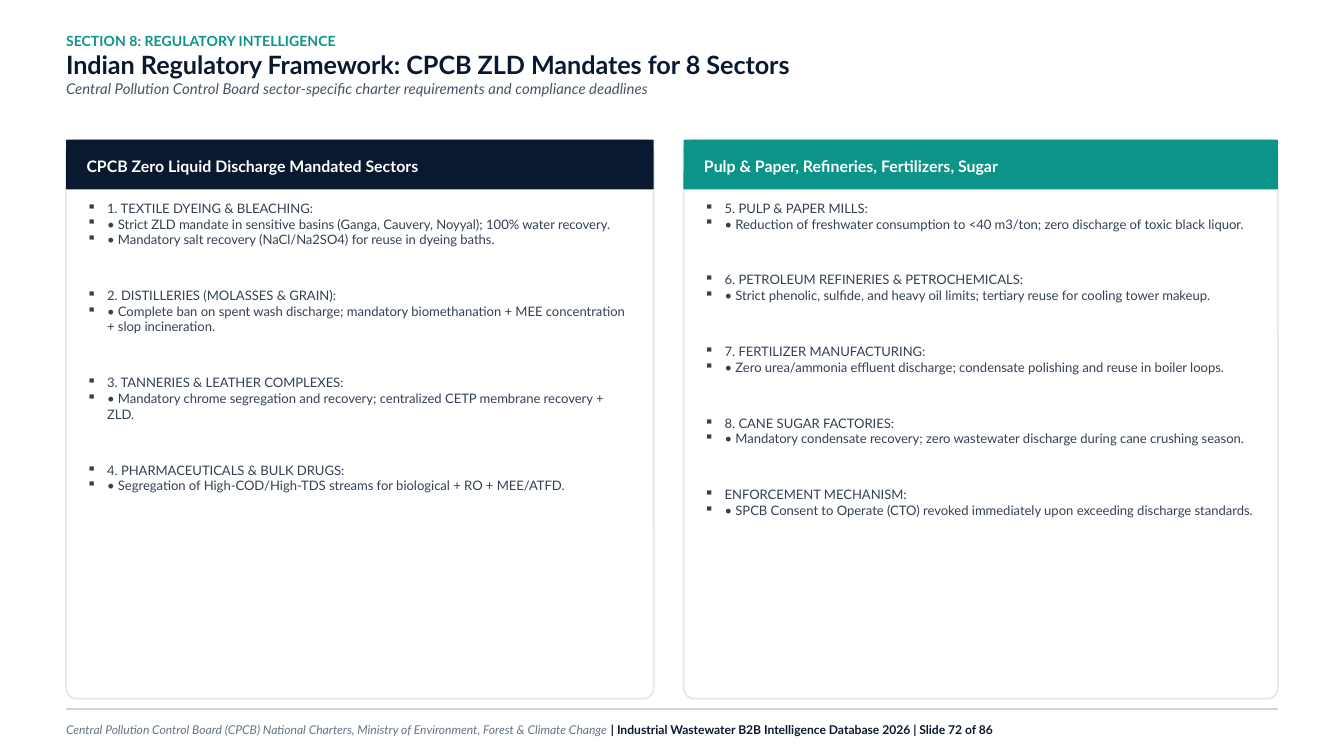
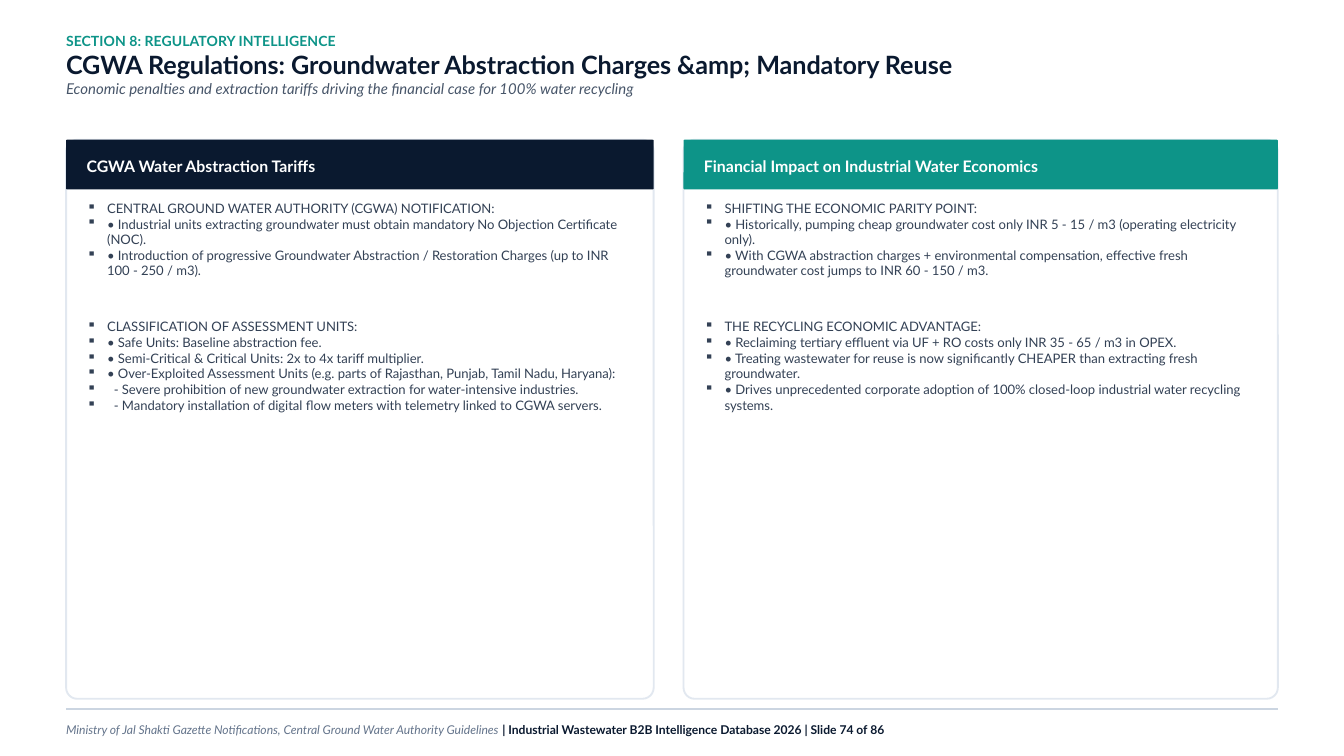
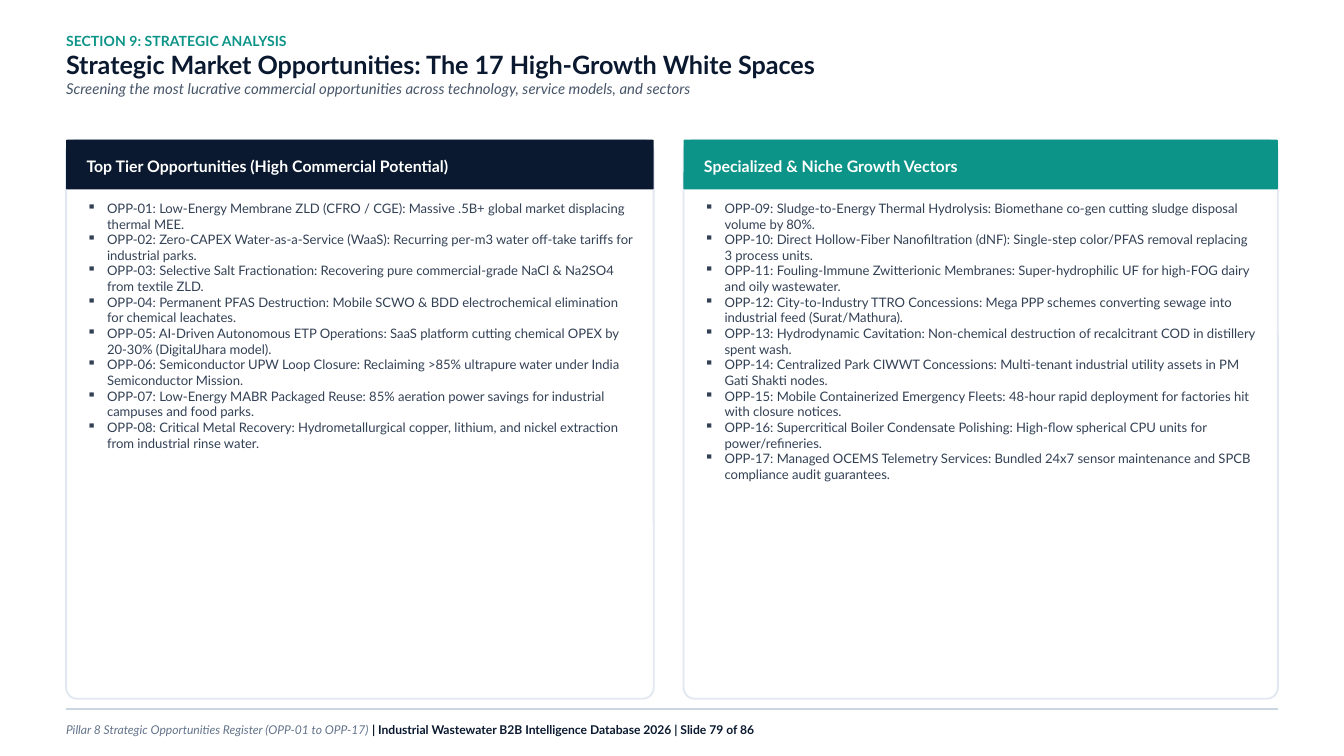
import pptx
import pptx.util
from dataclasses import dataclass
from lxml import etree
from pptx.dml.color import RGBColor
from pptx.enum.shapes import MSO_SHAPE
from pptx.enum.text import MSO_ANCHOR, PP_ALIGN
from pptx.oxml.ns import qn

Pt = pptx.util.Pt


@dataclass(frozen=True)
class Theme:
    face: str = "Lato"
    navy: str = "0A192F"
    teal: str = "0D9488"
    slate: str = "475569"
    ink: str = "334155"
    muted: str = "64748B"
    rule: str = "CBD5E1"
    edge: str = "E2E8F0"
    white: str = "FFFFFF"
    tag: float = 7.5
    title: float = 13.5
    lead: float = 8
    head: float = 8.5
    body: float = 7
    foot: float = 6.5


LEFT, WIDE = 35.4, 649.2
TOP, HIGH, BAND = 74.9, 299.5, 26.6
GAP, PAD = 16, 6.2
COLS = ((LEFT, 314.8), (LEFT + 314.8 + GAP, WIDE - 314.8 - GAP))
INDENT, NEST = 10.8, 3.6
BREAK = 21.6
BRAND = "Industrial Wastewater B2B Intelligence Database 2026"
TOTAL = 86


class Deck:
    def __init__(self, theme):
        self.theme = theme
        self.file = pptx.Presentation()
        self.file.slide_width, self.file.slide_height = Pt(720), Pt(405)
        self.slide = None

    def page(self):
        self.slide = self.file.slides.add_slide(self.file.slide_layouts[6])

    def words(self, para, text, size, color, **style):
        run = para.add_run()
        run.text = text
        values = {"name": self.theme.face, "size": Pt(size), **style}
        for key, value in values.items():
            setattr(run.font, key, value)
        run.font.color.rgb = RGBColor.from_string(color)

    def frame(self, shape, insets=(0, 0, 0, 0), anchor=MSO_ANCHOR.TOP):
        """Set up the text frame; insets run left, top, right, bottom."""
        frame = shape.text_frame
        sides = ("left", "top", "right", "bottom")
        values = {f"margin_{side}": Pt(gap) for side, gap in zip(sides, insets)}
        values.update(word_wrap=True, vertical_anchor=anchor)
        for key, value in values.items():
            setattr(frame, key, value)
        return frame

    def text(self, box, **style):
        return self.frame(self.slide.shapes.add_textbox(*map(Pt, box)), **style)

    def block(self, kind, box, fill, edge=None):
        shape = self.slide.shapes.add_shape(kind, *map(Pt, box))
        shape.shadow.inherit = False
        shape.fill.solid()
        shape.fill.fore_color.rgb = RGBColor.from_string(fill)
        if edge:
            shape.line.color.rgb = RGBColor.from_string(edge)
            shape.line.width = Pt(1)
        else:
            shape.line.fill.background()
        if kind == MSO_SHAPE.ROUNDED_RECTANGLE:
            shape.adjustments[0] = 0.02
        return shape

    def title(self, tag, name, lead):
        look = self.theme
        frame = self.text((LEFT, 17.3, WIDE, 49))
        rows = (
            (tag, look.tag, look.teal, {"bold": True}),
            (name, look.title, look.navy, {"bold": True}),
            (lead, look.lead, look.slate, {"italic": True}),
        )
        for at, (line, size, color, style) in enumerate(rows):
            para = frame.add_paragraph() if at else frame.paragraphs[0]
            self.words(para, line, size, color, **style)

    def bullet(self, para, line):
        """Lines that start with a dash sit a little deeper."""
        depth = INDENT + (NEST if line.startswith("- ") else 0)
        props = para._p.get_or_add_pPr()
        props.set("marL", str(Pt(depth)))
        props.set("indent", str(-Pt(depth)))
        etree.SubElement(props, qn("a:buChar")).set("char", "▪")
        self.words(para, line, self.theme.body, self.theme.ink)

    def list(self, box, groups):
        frame = self.text(box, insets=(5, 2.9, 5, 2.9))
        for part, group in enumerate(groups):
            for at, line in enumerate(group):
                first = part == at == 0
                para = frame.paragraphs[0] if first else frame.add_paragraph()
                if part and not at:
                    para.space_before = Pt(BREAK)
                self.bullet(para, line)

    def card(self, col, color, head, groups):
        left, wide = col
        look, form = self.theme, MSO_SHAPE.ROUNDED_RECTANGLE
        self.block(form, (left, TOP, wide, HIGH), look.white, look.edge)
        band = self.block(form, (left, TOP, wide, BAND), color)
        frame = self.frame(band, (10.8, 3.6, 10.8, 2.2), MSO_ANCHOR.MIDDLE)
        para = frame.paragraphs[0]
        para.alignment = PP_ALIGN.LEFT
        self.words(para, head, look.head, look.white, bold=True)
        self.list((left + PAD, 104.4, wide - 2 * PAD, 267.8), groups)

    def footer(self, source, number):
        look = self.theme
        self.block(MSO_SHAPE.RECTANGLE, (LEFT, 379.4, WIDE, 0.9), look.rule)
        frame = self.text((LEFT, 382.4, WIDE, 17.3), anchor=MSO_ANCHOR.MIDDLE)
        para = frame.paragraphs[0]
        self.words(para, source, look.foot, look.muted, italic=True)
        tail = f" | {BRAND} | Slide {number} of {TOTAL}"
        self.words(para, tail, look.foot, look.navy, bold=True)


RULES = "SECTION 8: REGULATORY INTELLIGENCE"

PAGES = [
    {
        "title": (
            RULES,
            "Indian Regulatory Framework: CPCB ZLD Mandates for 8 Sectors",
            "Central Pollution Control Board sector-specific charter requirements and compliance deadlines",
        ),
        "cards": [
            ("CPCB Zero Liquid Discharge Mandated Sectors", [
                ["1. TEXTILE DYEING & BLEACHING:",
                 "• Strict ZLD mandate in sensitive basins (Ganga, Cauvery, Noyyal); 100% water recovery.",
                 "• Mandatory salt recovery (NaCl/Na2SO4) for reuse in dyeing baths."],
                ["2. DISTILLERIES (MOLASSES & GRAIN):",
                 "• Complete ban on spent wash discharge; mandatory biomethanation + MEE concentration + slop incineration."],
                ["3. TANNERIES & LEATHER COMPLEXES:",
                 "• Mandatory chrome segregation and recovery; centralized CETP membrane recovery + ZLD."],
                ["4. PHARMACEUTICALS & BULK DRUGS:",
                 "• Segregation of High-COD/High-TDS streams for biological + RO + MEE/ATFD."],
            ]),
            ("Pulp & Paper, Refineries, Fertilizers, Sugar", [
                ["5. PULP & PAPER MILLS:",
                 "• Reduction of freshwater consumption to <40 m3/ton; zero discharge of toxic black liquor."],
                ["6. PETROLEUM REFINERIES & PETROCHEMICALS:",
                 "• Strict phenolic, sulfide, and heavy oil limits; tertiary reuse for cooling tower makeup."],
                ["7. FERTILIZER MANUFACTURING:",
                 "• Zero urea/ammonia effluent discharge; condensate polishing and reuse in boiler loops."],
                ["8. CANE SUGAR FACTORIES:",
                 "• Mandatory condensate recovery; zero wastewater discharge during cane crushing season."],
                ["ENFORCEMENT MECHANISM:",
                 "• SPCB Consent to Operate (CTO) revoked immediately upon exceeding discharge standards."],
            ]),
        ],
        "footer": ("Central Pollution Control Board (CPCB) National Charters, Ministry of Environment, Forest & Climate Change", 72),
    },
    {
        "title": (
            RULES,
            "CGWA Regulations: Groundwater Abstraction Charges &amp; Mandatory Reuse",
            "Economic penalties and extraction tariffs driving the financial case for 100% water recycling",
        ),
        "cards": [
            ("CGWA Water Abstraction Tariffs", [
                ["CENTRAL GROUND WATER AUTHORITY (CGWA) NOTIFICATION:",
                 "• Industrial units extracting groundwater must obtain mandatory No Objection Certificate (NOC).",
                 "• Introduction of progressive Groundwater Abstraction / Restoration Charges (up to INR 100 - 250 / m3)."],
                ["CLASSIFICATION OF ASSESSMENT UNITS:",
                 "• Safe Units: Baseline abstraction fee.",
                 "• Semi-Critical & Critical Units: 2x to 4x tariff multiplier.",
                 "• Over-Exploited Assessment Units (e.g. parts of Rajasthan, Punjab, Tamil Nadu, Haryana):",
                 "- Severe prohibition of new groundwater extraction for water-intensive industries.",
                 "- Mandatory installation of digital flow meters with telemetry linked to CGWA servers."],
            ]),
            ("Financial Impact on Industrial Water Economics", [
                ["SHIFTING THE ECONOMIC PARITY POINT:",
                 "• Historically, pumping cheap groundwater cost only INR 5 - 15 / m3 (operating electricity only).",
                 "• With CGWA abstraction charges + environmental compensation, effective fresh groundwater cost jumps to INR 60 - 150 / m3."],
                ["THE RECYCLING ECONOMIC ADVANTAGE:",
                 "• Reclaiming tertiary effluent via UF + RO costs only INR 35 - 65 / m3 in OPEX.",
                 "• Treating wastewater for reuse is now significantly CHEAPER than extracting fresh groundwater.",
                 "• Drives unprecedented corporate adoption of 100% closed-loop industrial water recycling systems."],
            ]),
        ],
        "footer": ("Ministry of Jal Shakti Gazette Notifications, Central Ground Water Authority Guidelines", 74),
    },
    {
        "title": (
            "SECTION 9: STRATEGIC ANALYSIS",
            "Strategic Market Opportunities: The 17 High-Growth White Spaces",
            "Screening the most lucrative commercial opportunities across technology, service models, and sectors",
        ),
        "cards": [
            ("Top Tier Opportunities (High Commercial Potential)", [[
                "OPP-01: Low-Energy Membrane ZLD (CFRO / CGE): Massive .5B+ global market displacing thermal MEE.",
                "OPP-02: Zero-CAPEX Water-as-a-Service (WaaS): Recurring per-m3 water off-take tariffs for industrial parks.",
                "OPP-03: Selective Salt Fractionation: Recovering pure commercial-grade NaCl & Na2SO4 from textile ZLD.",
                "OPP-04: Permanent PFAS Destruction: Mobile SCWO & BDD electrochemical elimination for chemical leachates.",
                "OPP-05: AI-Driven Autonomous ETP Operations: SaaS platform cutting chemical OPEX by 20-30% (DigitalJhara model).",
                "OPP-06: Semiconductor UPW Loop Closure: Reclaiming >85% ultrapure water under India Semiconductor Mission.",
                "OPP-07: Low-Energy MABR Packaged Reuse: 85% aeration power savings for industrial campuses and food parks.",
                "OPP-08: Critical Metal Recovery: Hydrometallurgical copper, lithium, and nickel extraction from industrial rinse water.",
            ]]),
            ("Specialized & Niche Growth Vectors", [[
                "OPP-09: Sludge-to-Energy Thermal Hydrolysis: Biomethane co-gen cutting sludge disposal volume by 80%.",
                "OPP-10: Direct Hollow-Fiber Nanofiltration (dNF): Single-step color/PFAS removal replacing 3 process units.",
                "OPP-11: Fouling-Immune Zwitterionic Membranes: Super-hydrophilic UF for high-FOG dairy and oily wastewater.",
                "OPP-12: City-to-Industry TTRO Concessions: Mega PPP schemes converting sewage into industrial feed (Surat/Mathura).",
                "OPP-13: Hydrodynamic Cavitation: Non-chemical destruction of recalcitrant COD in distillery spent wash.",
                "OPP-14: Centralized Park CIWWT Concessions: Multi-tenant industrial utility assets in PM Gati Shakti nodes.",
                "OPP-15: Mobile Containerized Emergency Fleets: 48-hour rapid deployment for factories hit with closure notices.",
                "OPP-16: Supercritical Boiler Condensate Polishing: High-flow spherical CPU units for power/refineries.",
                "OPP-17: Managed OCEMS Telemetry Services: Bundled 24x7 sensor maintenance and SPCB compliance audit guarantees.",
            ]]),
        ],
        "footer": ("Pillar 8 Strategic Opportunities Register (OPP-01 to OPP-17)", 79),
    },
]


def main():
    look = Theme()
    deck = Deck(look)
    for page in PAGES:
        deck.page()
        deck.title(*page["title"])
        for col, color, card in zip(COLS, (look.navy, look.teal), page["cards"]):
            deck.card(col, color, *card)
        deck.footer(*page["footer"])
    deck.file.save("out.pptx")


if __name__ == "__main__":
    main()
